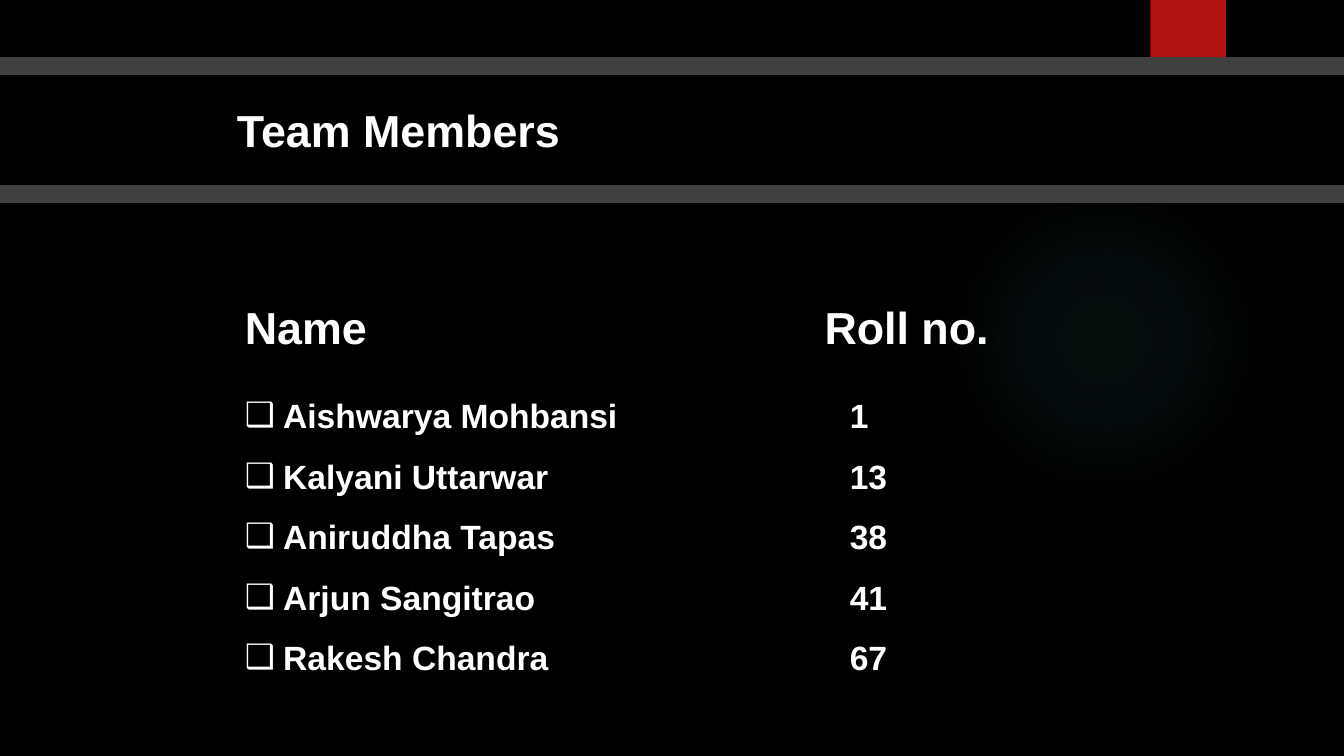
"""Build the team members slide."""
from dataclasses import dataclass

from lxml import etree
from pptx import Presentation
from pptx import util as u
from pptx.dml.color import RGBColor
from pptx.enum import shapes, text
from pptx.oxml import ns, parse_xml

TITLE = "Team Members"
HEADINGS = [("Name", 2.33), ("Roll no.", 8.08)]
MEMBERS = [
    ("Aishwarya Mohbansi", 1),
    ("Kalyani Uttarwar", 13),
    ("Aniruddha Tapas", 38),
    ("Arjun Sangitrao", 41),
    ("Rakesh Chandra", 67),
]
BULLET = "❑"
BULLET_INDENT = 0.38
ROLL_TAB = 6
GLOW_STOPS = [(0, 7), (36, 6), (69, 0)]


@dataclass(frozen=True)
class Theme:
    """Colours, font and type sizes."""
    background: str = "000000"
    ink: str = "FFFFFF"
    band: str = "404040"
    accent: str = "B01513"
    glow: str = "50B9C1"
    font: str = "Arial"
    heading: int = 32
    body: int = 24


THEME = Theme()


def place(shape, box):
    """Set a shape's left, top, width and height in inches."""
    for name, value in zip(("left", "top", "width", "height"), box):
        setattr(shape, name, u.Inches(value))


def add_block(page, kind, box, colour, outline=None):
    """Add a flat filled shape."""
    block = page.shapes.add_shape(kind, *map(u.Inches, box))
    block.shadow.inherit = False
    block.fill.solid()
    block.fill.fore_color.rgb = RGBColor.from_string(colour)
    if outline:
        block.line.color.rgb = RGBColor.from_string(colour)
        block.line.width = u.Pt(outline)
    else:
        block.line.fill.background()
    return block


def add_glow(page, box):
    """Add a faint circle that fades outwards."""
    glow = add_block(page, shapes.MSO_SHAPE.OVAL, box, THEME.glow)
    stops = "".join(
        f'<a:gs pos="{position * 1000}"><a:srgbClr val="{THEME.glow}">'
        f'<a:alpha val="{alpha * 1000}"/></a:srgbClr></a:gs>'
        for position, alpha in GLOW_STOPS)
    gradient = parse_xml(
        f'<a:gradFill {ns.nsdecls("a")}><a:gsLst>{stops}</a:gsLst><a:path path="circle">'
        '<a:fillToRect l="50000" t="50000" r="50000" b="50000"/></a:path></a:gradFill>')
    properties = glow.element.spPr
    properties.replace(properties.find(ns.qn("a:solidFill")), gradient)


def write(shape, lines, size):
    """Fill a text shape with bold lines and return its paragraphs."""
    frame = shape.text_frame
    frame.text = "\n".join(lines)
    settings = {"word_wrap": True, "auto_size": text.MSO_AUTO_SIZE.NONE,
                "vertical_anchor": text.MSO_ANCHOR.TOP}
    for name, value in settings.items():
        setattr(frame, name, value)
    for para in frame.paragraphs:
        para.alignment = text.PP_ALIGN.LEFT
        for span in para.runs:
            for name, value in {"name": THEME.font, "size": u.Pt(size), "bold": True}.items():
                setattr(span.font, name, value)
            span.font.color.rgb = RGBColor.from_string(THEME.ink)
    return frame.paragraphs


def add_text(page, box, lines, size):
    """Add a text box and return its paragraphs."""
    return write(page.shapes.add_textbox(*map(u.Inches, box)), lines, size)


def add_members(page, box):
    """Add the bulleted names with roll numbers at a tab stop."""
    lines = [f"{name}\t{roll}" for name, roll in MEMBERS]
    for para in add_text(page, box, lines, THEME.body):
        para.line_spacing = 1.5
        properties = para.runs[0].font and para._p.get_or_add_pPr()
        properties.set("marL", str(u.Inches(BULLET_INDENT)))
        properties.set("indent", str(-u.Inches(BULLET_INDENT)))
        etree.SubElement(properties, ns.qn("a:buFont"), typeface=THEME.font)
        etree.SubElement(properties, ns.qn("a:buChar"), char=BULLET)
        tabs = etree.SubElement(properties, ns.qn("a:tabLst"))
        etree.SubElement(tabs, ns.qn("a:tab"), pos=str(u.Inches(ROLL_TAB)), algn="l")


def main():
    """Compose and save the slide."""
    deck = Presentation()
    deck.slide_width, deck.slide_height = u.Inches(13.33), u.Inches(7.5)
    page = deck.slides.add_slide(deck.slide_layouts[5])
    page.background.fill.solid()
    page.background.fill.fore_color.rgb = RGBColor.from_string(THEME.background)

    rectangle = shapes.MSO_SHAPE.RECTANGLE
    add_glow(page, (9.41, 1.83, 3.08, 3.08))
    add_block(page, rectangle, (11.41, 0, 0.75, 1.25), THEME.accent)
    add_members(page, (2.33, 3.67, 8.08, 3.43))
    for heading, left in HEADINGS:
        add_text(page, (left, 2.92, 2.33, 0.64), [heading], THEME.heading)
    add_block(page, rectangle, (0, 0.58, 13.33, 1.42), THEME.band, 1.5)
    add_block(page, rectangle, (0, 0.75, 13.33, 1.08), THEME.background, 1.5)

    title = page.shapes.title
    place(title, (2.25, 0.97, 6.67, 0.64))
    write(title, [TITLE], THEME.heading)
    title.element.getparent().append(title.element)
    deck.save("out.pptx")


if __name__ == "__main__":
    main()
